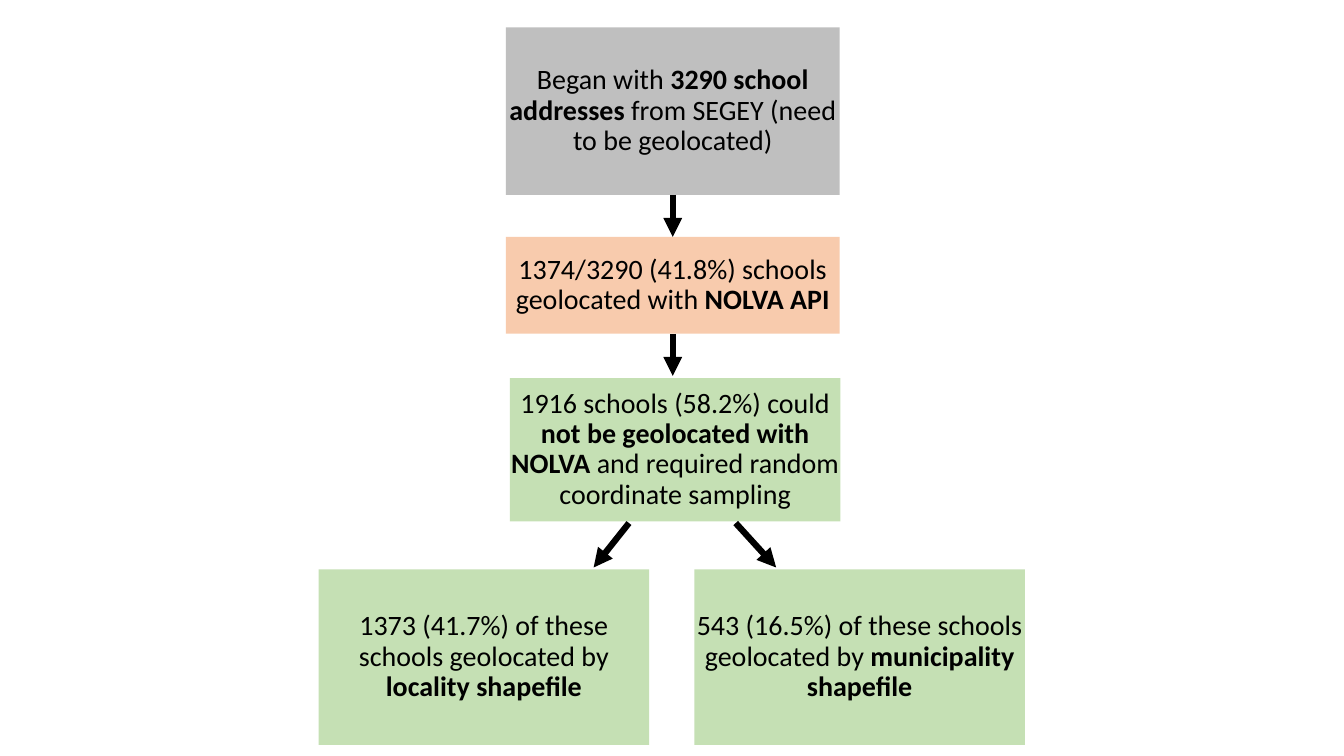
import pptx
import pptx.dml.color
import pptx.enum.shapes
import pptx.enum.text
import pptx.oxml
import pptx.oxml.ns
import pptx.util
from pptx.util import Cm

COLOURS = {"start": "BFBFBF", "maps": "F8CBAD", "sampled": "C5E0B4", "ink": "000000"}
FRAME_FORMAT = {
    "word_wrap": True,
    "vertical_anchor": pptx.enum.text.MSO_ANCHOR.MIDDLE,
    "margin_left": Cm(0.03), "margin_right": Cm(0.03),
    "margin_top": Cm(0.03), "margin_bottom": Cm(0.03),
}
PARAGRAPH_FORMAT = {"alignment": pptx.enum.text.PP_ALIGN.CENTER, "line_spacing": 0.9}
FONT_FORMAT = {"name": "Calibri", "size": pptx.util.Pt(20)}


def colour(key):
    """Return the named palette entry as an RGB colour."""
    return pptx.dml.color.RGBColor.from_string(COLOURS[key])


def apply_format(target, values):
    """Set every attribute in values on target."""
    for attribute, value in values.items():
        setattr(target, attribute, value)


def add_step(slide, box, fill, wording):
    """Fill box (cm) with one step; wording is a list of (text, bold) pairs."""
    step = slide.shapes.add_shape(
        pptx.enum.shapes.MSO_SHAPE.RECTANGLE, *(Cm(length) for length in box))
    step.shadow.inherit = False
    step.fill.solid()
    step.fill.fore_color.rgb = colour(fill)
    step.line.fill.background()
    apply_format(step.text_frame, FRAME_FORMAT)
    sentence = step.text_frame.paragraphs[0]
    apply_format(sentence, PARAGRAPH_FORMAT)
    for text, bold in wording:
        phrase = sentence.add_run()
        phrase.text = text
        apply_format(phrase.font, {**FONT_FORMAT, "bold": bold})
        phrase.font.color.rgb = colour("ink")


def add_arrow(slide, *ends):
    """Draw a thick arrow through ends x1, y1, x2, y2 (cm)."""
    arrow = slide.shapes.add_connector(
        pptx.enum.shapes.MSO_CONNECTOR.STRAIGHT, *(Cm(end) for end in ends))
    arrow.line.width = pptx.util.Pt(4.5)
    arrow.line.color.rgb = colour("ink")
    head = pptx.oxml.parse_xml(
        f'<a:tailEnd {pptx.oxml.ns.nsdecls("a")} type="triangle"/>')
    arrow.line._get_or_add_ln().append(head)
    no_effects = pptx.oxml.parse_xml(f'<a:effectLst {pptx.oxml.ns.nsdecls("a")}/>')
    arrow._element.spPr.append(no_effects)


def add_main_steps(slide, left, top, width):
    """Stack the three main steps and the arrows between them."""
    add_step(slide, (left, top, width, 4.22), "start", [
        ("Began with ", False), ("3290 school addresses ", True),
        ("from SEGEY (need to be geolocated)", False)])
    add_step(slide, (left, top + 5.28, width, 2.44), "maps", [
        ("1374/3290 (41.8%) schools geolocated with ", False), ("NOLVA API", True)])
    add_step(slide, (left + 0.1, top + 8.84, width - 0.08, 3.61), "sampled", [
        ("1916 schools (58.2%) could", False),
        (" not be geolocated with NOLVA ", True),
        ("and required random coordinate sampling", False)])
    middle = left + width / 2
    for start in (top + 4.22, top + 7.72):
        add_arrow(slide, middle, start, middle, start + 1.06)


def add_branches(slide, left, top, width, height):
    """Place the two shapefile outcomes side by side, with arrows leading in."""
    gap = 1.14
    branch_width = (width - gap) / 2
    branches = [("1373 (41.7%)", "locality shapefile", 7.82, 6.93),
                ("543 (16.5%)", "municipality shapefile", 10.51, 11.53)]
    for index, (share, source, arrow_start, arrow_end) in enumerate(branches):
        branch_left = left + index * (branch_width + gap)
        add_step(slide, (branch_left, top, branch_width, height), "sampled", [
            (f"{share} of these schools geolocated by ", False), (source, True)])
        add_arrow(slide, left + arrow_start, top - 1.17, left + arrow_end, top - 0.05)


deck = pptx.Presentation()
apply_format(deck, {"slide_width": Cm(33.87), "slide_height": Cm(19.05)})
flow = deck.slides.add_slide(deck.slide_layouts[6])
add_main_steps(flow, 12.75, 0.69, 8.41)
add_branches(flow, 8.03, 14.35, 17.8, 4.42)
deck.save("out.pptx")
